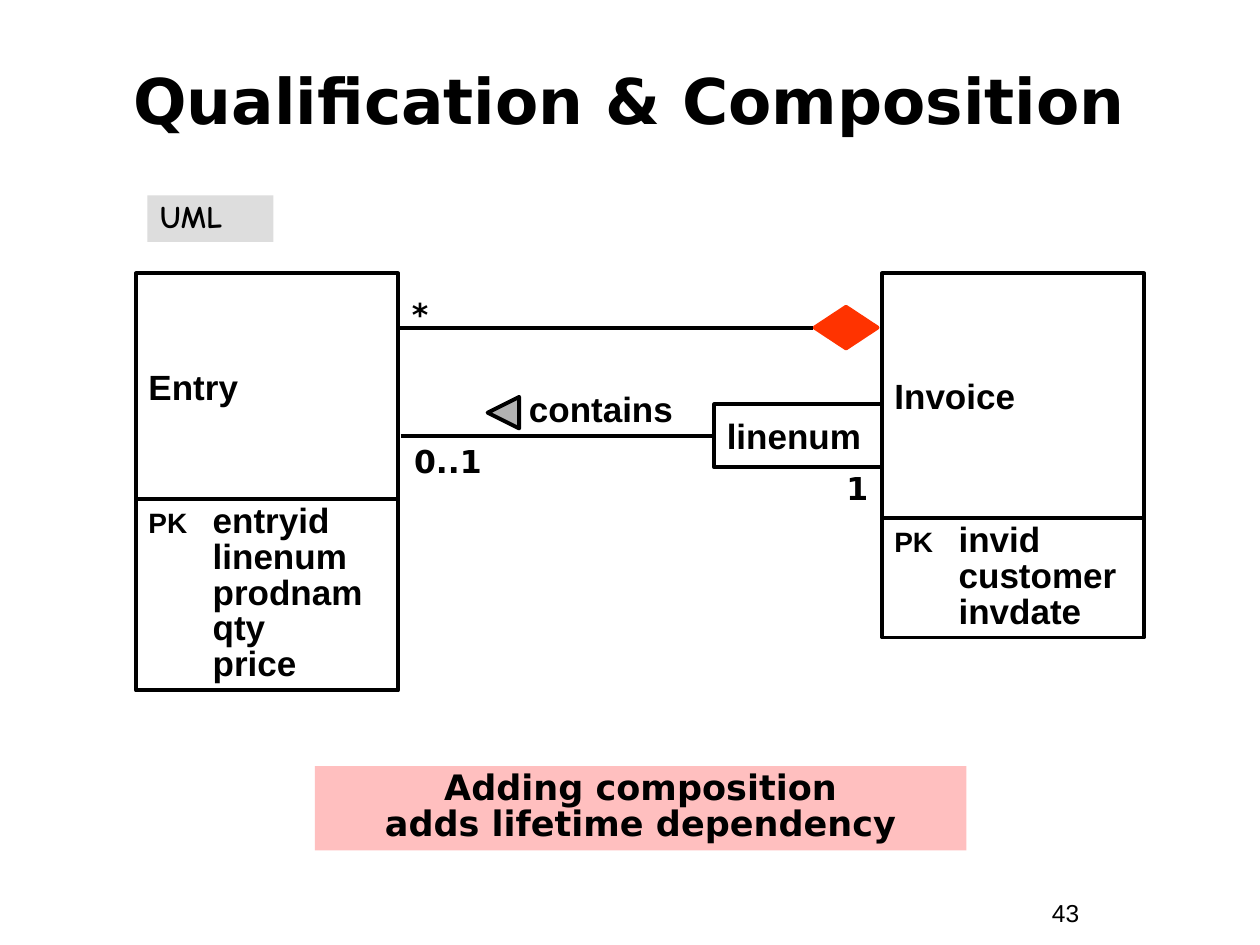
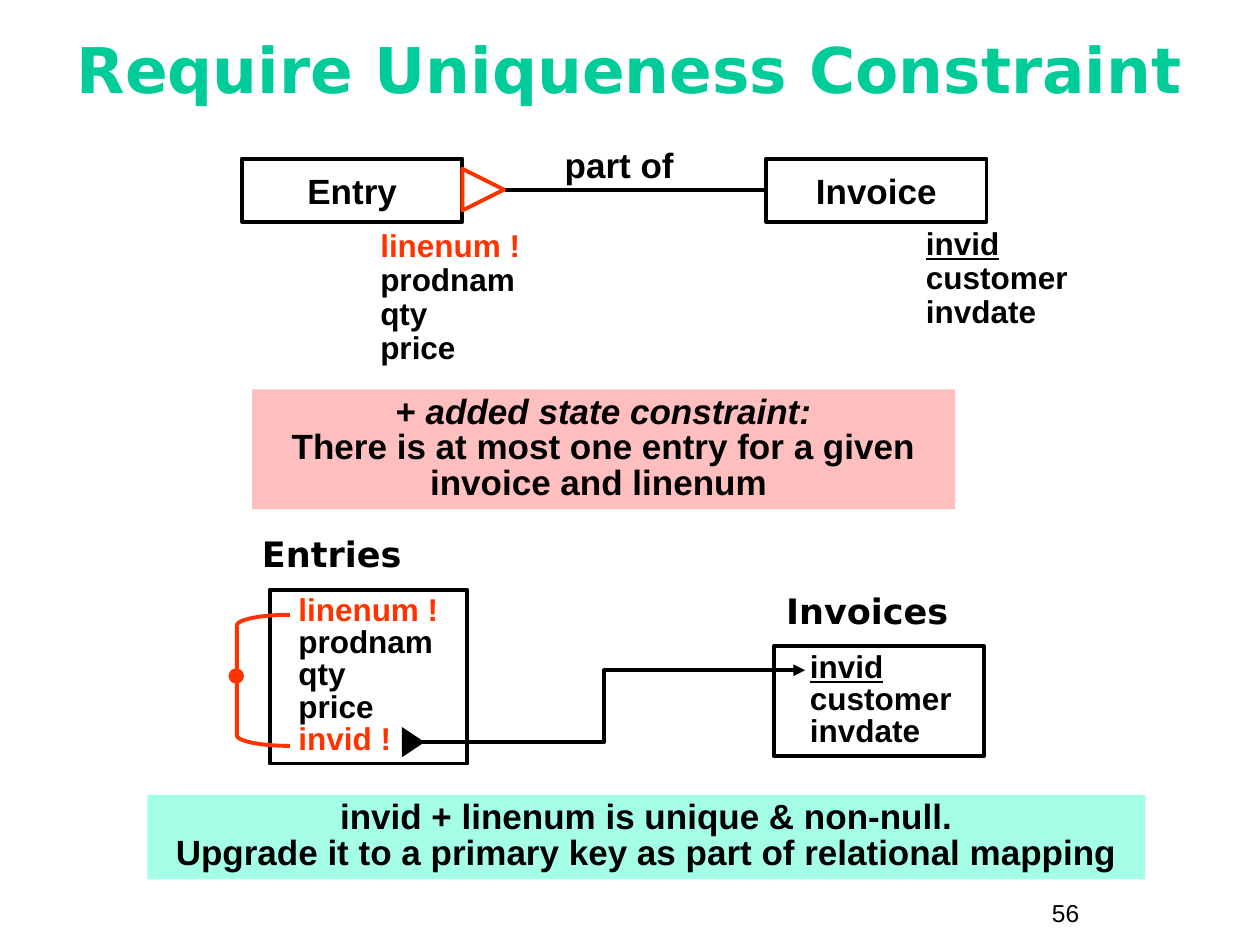
from lxml.etree import SubElement
from pptx import Presentation
from pptx.dml.color import RGBColor
from pptx.enum.shapes import MSO_CONNECTOR, MSO_SHAPE
from pptx.enum.text import MSO_ANCHOR, PP_ALIGN
from pptx.oxml.ns import qn
from pptx.util import Inches, Pt

BLACK, RED, GREEN = "000000", "FF3300", "00CC99"
GRAY, SILVER, PINK, MINT = "DDDDDD", "B2B2B2", "FFBFBF", "A5FFE7"
SANS, HEAD, COMIC = "Arial", "DejaVu Sans", "Comic Neue"
LINE_WIDTH = 2.25

# Content: a paragraph is a string or a list of (text, format) runs; "\v" breaks a line
PK = ("PK", {"size": 16})
ENTRY_COLUMNS = [[PK, ("\tentryid", {})], "\tlinenum", "\tprodnam", "\tqty", "\tprice"]
INVOICE_COLUMNS = [[PK, ("\tinvid", {})], "\tcustomer", "\tinvdate"]
ENTRY_FIELDS = [[("linenum !", {"color": RED})], "prodnam", "qty", "price"]
FOREIGN_KEY = [("invid !", {"color": RED})]
INVOICE_FIELDS = [[("invid", {"underline": True})], "customer", "invdate"]
STATE_CONSTRAINT = [[
    ("+ ", {}),
    ("added state constraint:\v", {"italic": True}),
    ("There is at most one entry for a given invoice and linenum ", {}),
]]

# UML classes: left, width, top, name height, columns height, name, columns
CLASSES = [
    (1.08, 2.08, 2.17, 1.79, 1.52, "Entry", ENTRY_COLUMNS),
    (7, 2.08, 2.17, 1.94, 0.95, "Invoice", INVOICE_COLUMNS),
]
MULTIPLICITIES = [
    ("*", (2.92, 2.33, 0.83, 0.37)),
    ("0..1", (3.14, 3.49, 0.83, 0.37)),
    ("1", (6.43, 3.71, 0.75, 0.37)),
]

# Entities: name, left of box, place of its field list, fields
ENTITIES = [
    ("Entry", 1.92, (2.92, 1.78, 1.67, 1.18), ENTRY_FIELDS),
    ("Invoice", 6.08, (7.25, 1.76, 1.42, 0.91), INVOICE_FIELDS),
]
# Tables: name, place of name, place of box, indent, fields
TABLES = [
    ("Entries", (1.98, 4.18, 2.15, 0.44), (2.14, 4.68, 1.57, 1.38), 0.13,
     ENTRY_FIELDS + [FOREIGN_KEY]),
    ("Invoices", (6.14, 4.63, 2.15, 0.44), (6.14, 5.13, 1.67, 0.87), 0.19,
     INVOICE_FIELDS),
]


def rgb(color):
    return RGBColor.from_string(color)


def style_run(r, size, font, color, bold, italic=False, underline=False):
    r.font.size, r.font.name, r.font.bold = Pt(size), font, bold
    r.font.color.rgb = rgb(color)
    if italic:
        r.font.italic = True
    if underline:
        r.font.underline = True


def write(tf, paragraphs, size=20, font=SANS, color=BLACK, bold=True,
          align=PP_ALIGN.LEFT, spacing=None, anchor=MSO_ANCHOR.TOP,
          indent=0, tab=None):
    """Fill a text frame with one string or a list of paragraphs."""
    tf.word_wrap, tf.vertical_anchor = True, anchor
    if isinstance(paragraphs, str):
        paragraphs = [paragraphs]
    for i, runs in enumerate(paragraphs):
        p = tf.add_paragraph() if i else tf.paragraphs[0]
        p.alignment = align
        pPr = p._p.get_or_add_pPr()
        if indent:
            pPr.set("marL", str(Inches(indent)))
            pPr.set("indent", "0")
        if tab:
            tabs = SubElement(pPr, qn("a:tabLst"))
            SubElement(tabs, qn("a:tab"), pos=str(Inches(tab)), algn="l")
        if spacing:
            p.line_spacing = spacing
        for text, fmt in [(runs, {})] if isinstance(runs, str) else runs:
            base = {"size": size, "font": font, "color": color, "bold": bold}
            for j, part in enumerate(text.split("\v")):
                if j:
                    p.add_line_break()
                if part:
                    r = p.add_run()
                    r.text = part
                    style_run(r, **{**base, **fmt})


def add_text(s, at, paragraphs, **fmt):
    write(s.shapes.add_textbox(*map(Inches, at)).text_frame, paragraphs, **fmt)


def add_box(s, at, paragraphs=None, shape=MSO_SHAPE.RECTANGLE, fill=None,
            line=None, rotation=0, **fmt):
    sp = s.shapes.add_shape(shape, *map(Inches, at))
    sp.shadow.inherit = False
    sp.rotation = rotation
    if fill:
        sp.fill.solid()
        sp.fill.fore_color.rgb = rgb(fill)
    else:
        sp.fill.background()
    if line:
        sp.line.color.rgb, sp.line.width = rgb(line), Pt(LINE_WIDTH)
    else:
        sp.line.fill.background()
    if paragraphs:
        write(sp.text_frame, paragraphs, **fmt)
    return sp


def add_line(s, start, end, kind=MSO_CONNECTOR.STRAIGHT, arrow=False):
    c = s.shapes.add_connector(kind, *map(Inches, start + end))
    c.line.color.rgb, c.line.width = rgb(BLACK), Pt(LINE_WIDTH)
    if arrow:
        SubElement(c.line._get_or_add_ln(), qn("a:tailEnd"), type="triangle")
    SubElement(c._element.spPr, qn("a:effectLst"))


def add_callout(s, at, paragraphs, fill, font=SANS):
    add_box(s, at, paragraphs, fill=fill, font=font, align=PP_ALIGN.CENTER, spacing=0.85)


def add_slide(prs, title, title_top, number, color=BLACK):
    s = prs.slides.add_slide(prs.slide_layouts[6])
    add_text(s, (8.25, 7.08, 0.92, 0.34), number, size=14, bold=False)
    add_text(s, (0.33, title_top, 9.33, 0.92), title, size=36, font=HEAD,
             color=color, align=PP_ALIGN.CENTER, anchor=MSO_ANCHOR.MIDDLE)
    return s


def build_composition(prs):
    s = add_slide(prs, "Qualification & Composition", 0.33, "43")
    add_box(s, (1.17, 1.55, 1, 0.37), "UML", fill=GRAY, size=18, font=COMIC, spacing=0.9)

    # Classes, each with its columns below
    for left, width, top, name_h, cols_h, name, columns in CLASSES:
        add_box(s, (left, top, width, name_h), name, line=BLACK, anchor=MSO_ANCHOR.MIDDLE)
        add_box(s, (left, top + name_h, width, cols_h), columns, line=BLACK,
                spacing=0.85, tab=0.51)

    # Qualified association
    add_line(s, (3.18, 3.46), (5.65, 3.46))
    add_box(s, (5.67, 3.21, 1.33, 0.5), "linenum", line=BLACK, anchor=MSO_ANCHOR.MIDDLE)
    add_text(s, (4.02, 3.03, 1.5, 0.44), "contains", align=PP_ALIGN.CENTER)
    add_box(s, (3.87, 3.15, 0.25, 0.25), shape=MSO_SHAPE.ISOSCELES_TRIANGLE,
            fill=SILVER, line=BLACK, rotation=270)

    # Composition
    add_box(s, (6.55, 2.35, 0.33, 0.5), shape=MSO_SHAPE.FLOWCHART_SORT,
            fill=RED, line=RED, rotation=270)
    add_line(s, (3.17, 2.6), (6.45, 2.6))
    for text, at in MULTIPLICITIES:
        add_text(s, at, text, size=18, font=HEAD, align=PP_ALIGN.CENTER, spacing=0.9)

    add_callout(s, (2.5, 6.08, 5.17, 0.67),
                "Adding composition\vadds lifetime dependency", PINK, HEAD)


def build_uniqueness(prs):
    s = add_slide(prs, "Require Uniqueness Constraint", 0.08, "56", GREEN)

    # Entities and their relationship
    for name, left, fields_at, fields in ENTITIES:
        add_box(s, (left, 1.26, 1.75, 0.5), name, line=BLACK,
                align=PP_ALIGN.CENTER, anchor=MSO_ANCHOR.MIDDLE)
        add_text(s, fields_at, fields, size=18, spacing=0.9)
    add_line(s, (6.07, 1.51), (4.01, 1.51))
    add_text(s, (4.08, 1.09, 1.67, 0.44), "part of", align=PP_ALIGN.CENTER)
    add_box(s, (3.67, 1.34, 0.33, 0.33), shape=MSO_SHAPE.FLOWCHART_EXTRACT,
            line=RED, rotation=90)

    add_callout(s, (2, 3.09, 5.58, 0.95), STATE_CONSTRAINT, PINK)

    # Tables
    for name, name_at, box_at, indent, fields in TABLES:
        add_text(s, name_at, name, font=HEAD)
        add_box(s, box_at, fields, line=BLACK, size=18, spacing=0.85, indent=indent)

    # Foreign key reference
    add_line(s, (3.2, 5.89), (6.39, 5.32), MSO_CONNECTOR.ELBOW, arrow=True)
    add_box(s, (3.16, 5.8, 0.24, 0.18), shape=MSO_SHAPE.ISOSCELES_TRIANGLE,
            fill=BLACK, rotation=90)

    # Uniqueness bracket
    bracket = add_box(s, (1.88, 4.88, 0.42, 1.04), shape=MSO_SHAPE.LEFT_BRACKET, line=RED)
    bracket.adjustments[0] = 0.2
    add_box(s, (1.83, 5.32, 0.09, 0.09), shape=MSO_SHAPE.OVAL, fill=RED, line=RED)

    add_callout(s, (1.17, 6.31, 7.92, 0.67),
                "invid + linenum is unique & non-null.\v"
                "Upgrade it to a primary key as part of relational mapping", MINT)


def main():
    prs = Presentation()
    prs.slide_width, prs.slide_height = Inches(10), Inches(7.5)
    build_composition(prs)
    build_uniqueness(prs)
    prs.save("out.pptx")


if __name__ == "__main__":
    main()
